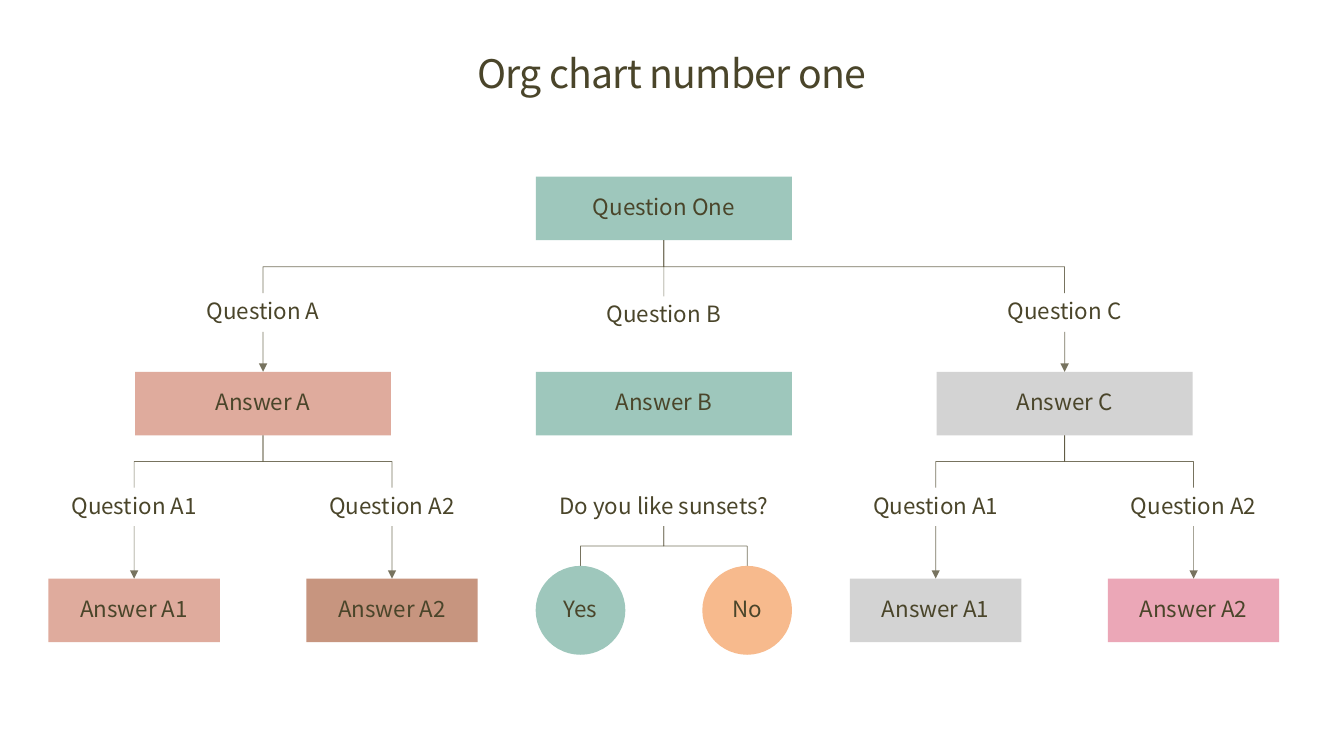
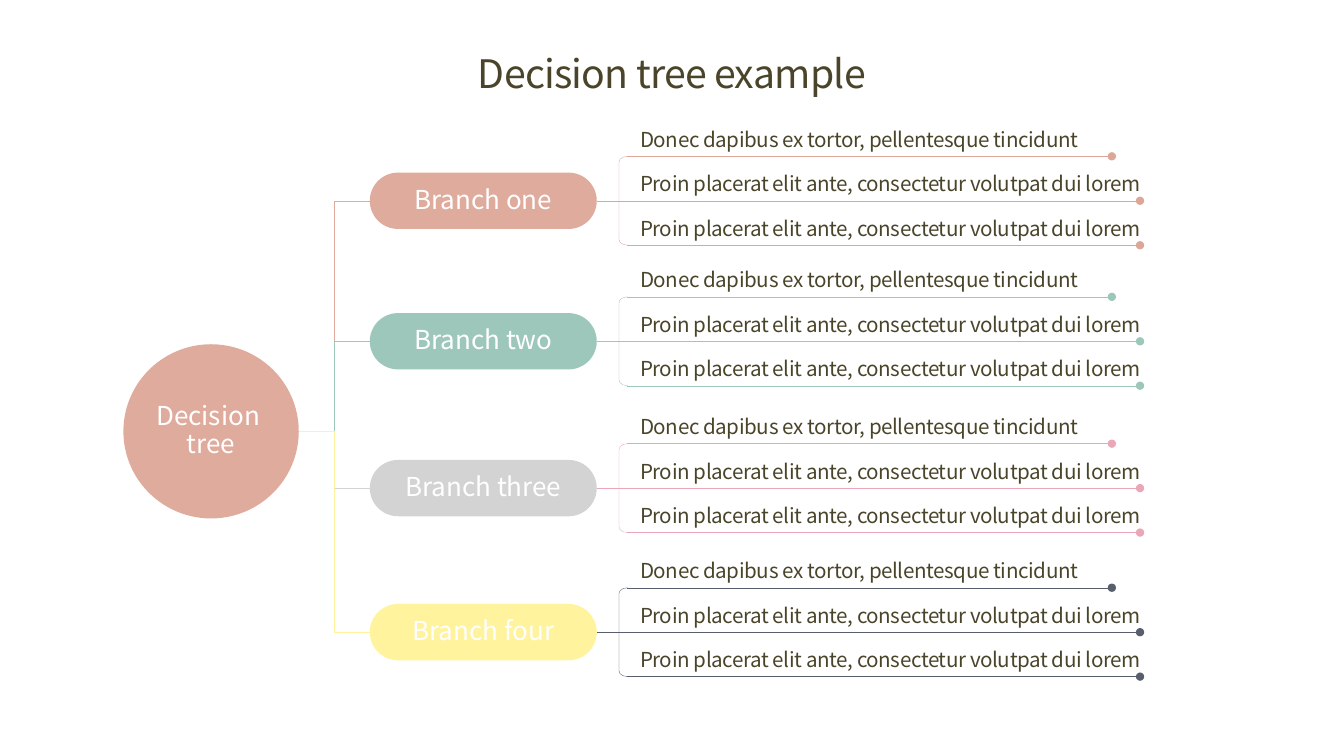
from dataclasses import dataclass

from lxml import etree
from pptx import Presentation
from pptx.dml.color import RGBColor
from pptx.enum.shapes import MSO_CONNECTOR as CXN, MSO_SHAPE as SHAPE
from pptx.enum.text import MSO_ANCHOR as ANCHOR, PP_ALIGN as ALIGN
from pptx.oxml.ns import qn
from pptx.util import Cm, Pt


@dataclass(frozen=True)
class Theme:
    font: str = "Noto Sans CJK SC"
    ink: str = "4A452A"
    white: str = "FFFFFF"
    coral: str = "DFAB9D"
    coral_line: str = "DCA698"
    brown: str = "C7957F"
    teal: str = "9EC7BC"
    grey: str = "D3D3D3"
    orange: str = "F7BA8D"
    pink: str = "EBA7B7"
    yellow: str = "FFF39D"
    slate: str = "575F6D"
    title_pt: float = 28
    org_pt: float = 16
    branch_pt: float = 18.6
    detail_pt: float = 14.7


T = Theme()

# Content: org chart
ORG_TITLE = "Org chart number one"
ROOT = ("Question One", T.teal)
SIDES = [  # direction from the centre, question, answer, fill, leaves
    (-1, "Question A", "Answer A", T.coral,
     [("Question A1", "Answer A1", T.coral), ("Question A2", "Answer A2", T.brown)]),
    (1, "Question C", "Answer C", T.grey,
     [("Question A1", "Answer A1", T.grey), ("Question A2", "Answer A2", T.pink)]),
]
MIDDLE = ("Question B", "Answer B", T.teal)
CHOICE = ("Do you like sunsets?", [("Yes", T.teal), ("No", T.orange)])

# Content: decision tree
TREE_TITLE = "Decision tree example"
TREE_ROOT = "Decision \vtree"
BRANCHES = [  # name, fill, detail line colour, centre height in cm
    ("Branch one", T.coral, T.coral_line, 5.06),
    ("Branch two", T.teal, T.teal, 8.6),
    ("Branch three", T.grey, T.pink, 12.3),
    ("Branch four", T.yellow, T.slate, 15.93),
]
LONG_DETAIL = "Proin placerat elit ante, consectetur volutpat dui lorem"
DETAILS = [  # text, right end of its line in cm
    ("Donec dapibus ex tortor, pellentesque tincidunt", 28.02),
    (LONG_DETAIL, 28.73),
    (LONG_DETAIL, 28.73),
]


def rgb(value):
    return RGBColor.from_string(value)


def put_text(sp, text, size, color=T.ink, align=ALIGN.CENTER, anchor=ANCHOR.MIDDLE,
             spacing=0.9, track=0, inset=(0, 0, 0, 0), wrap=True):
    """Write one formatted paragraph into a shape; insets are in cm."""
    tf = sp.text_frame
    tf.word_wrap, tf.vertical_anchor = wrap, anchor
    tf.margin_left, tf.margin_top, tf.margin_right, tf.margin_bottom = map(Cm, inset)
    p = tf.paragraphs[0]
    p.text, p.alignment, p.line_spacing = text, align, spacing
    for r in p.runs:
        r.font.name, r.font.size = T.font, Pt(size)
        r.font.color.rgb = rgb(color)
        if track:
            r.font._element.set("spc", str(round(track * 100)))


def add_slide(prs, title):
    s = prs.slides.add_slide(prs.slide_layouts[5])
    sp = s.shapes.title
    sp.left, sp.top, sp.width, sp.height = Cm(2.54), Cm(0.79), Cm(28.78), Cm(2.26)
    put_text(sp, title, T.title_pt, spacing=0.86, track=-0.5)
    return s


def add_node(s, kind, cx, cy, w, h, fill, text, size, **fmt):
    """Filled shape centred on cx, cy."""
    sp = s.shapes.add_shape(kind, Cm(cx - w / 2), Cm(cy - h / 2), Cm(w), Cm(h))
    sp.shadow.inherit = False
    sp.fill.solid()
    sp.fill.fore_color.rgb = rgb(fill)
    sp.line.fill.background()
    put_text(sp, text, size, **fmt)
    return sp


def add_label(s, x, y, w, h, text, size, **fmt):
    sp = s.shapes.add_textbox(Cm(x), Cm(y), Cm(w), Cm(h))
    put_text(sp, text, size, **fmt)


def add_line(s, start, end, color, width, kind=CXN.STRAIGHT, tail=None, alpha=None):
    c = s.shapes.add_connector(kind, *map(Cm, (*start, *end)))
    c.line.color.rgb, c.line.width = rgb(color), Pt(width)
    if alpha:
        clr = c.line._ln.find(".//" + qn("a:srgbClr"))
        etree.SubElement(clr, qn("a:alpha"), val=str(alpha * 1000))
    if tail:
        etree.SubElement(c.line._ln, qn("a:tailEnd"), type=tail)
    etree.SubElement(c._element.spPr, qn("a:effectLst"))
    return c


def org_line(s, start, end, **fmt):
    return add_line(s, start, end, T.ink, 0.5, alpha=75, **fmt)


def drop_elbow(s, start, end):
    """Elbow that leaves downwards, runs sideways and ends downwards."""
    (x1, y1), (x2, y2) = start, end
    c = org_line(s, start, end, kind=CXN.ELBOW)
    w, h = y2 - y1, abs(x2 - x1)  # size before the quarter turn
    c.left, c.top = Cm((x1 + x2 - w) / 2), Cm((y1 + y2 - h) / 2)
    c.width, c.height = Cm(w), Cm(h)
    xfrm = c._element.spPr.find(qn("a:xfrm"))
    xfrm.attrib.clear()
    if x2 < x1:
        xfrm.set("rot", "5400000")
    else:
        xfrm.set("rot", "16200000")
        xfrm.set("flipH", "1")


def build_org_chart(prs):
    s = add_slide(prs, ORG_TITLE)
    mid, side_step, leaf_step, choice_step = 16.73, 10.1, 3.25, 2.1
    box_w, leaf_w, box_h = 6.45, 4.32, 1.6
    label_h, label_w = 0.97, 5.13
    root_y, answer_y, leaf_y = 5.25, 10.17, 15.38  # centres of the box rows
    question_y, leaf_question_y = 7.39, 12.29  # tops of the label rows
    circle_w, circle_h = 2.26, 2.24

    def box(cx, cy, w, text, fill):
        add_node(s, SHAPE.RECTANGLE, cx, cy, w, box_h, fill, text, T.org_pt)

    def question(cx, top, text, w=label_w):
        add_label(s, cx - w / 2, top, w, label_h, text, T.org_pt, inset=(0.18,) * 4)

    def question_and_answer(cx, top, cy, w, ask, answer, fill):
        question(cx, top, ask)
        box(cx, cy, w, answer, fill)
        org_line(s, (cx, top + label_h), (cx, cy - box_h / 2), tail="triangle")

    # Root and middle column
    root_end = (mid, root_y + box_h / 2)
    box(mid, root_y, box_w, *ROOT)
    middle_top = question_y + 0.08
    org_line(s, root_end, (mid, middle_top))
    question(mid, middle_top, MIDDLE[0])
    box(mid, answer_y, box_w, *MIDDLE[1:])

    # Side columns with their leaves
    for sign, ask, answer, fill, leaves in SIDES:
        cx = mid + sign * side_step
        drop_elbow(s, root_end, (cx, question_y))
        question_and_answer(cx, question_y, answer_y, box_w, ask, answer, fill)
        for leaf_sign, leaf in zip((-1, 1), leaves):
            leaf_x = cx + leaf_sign * leaf_step
            drop_elbow(s, (cx, answer_y + box_h / 2), (leaf_x, leaf_question_y))
            question_and_answer(leaf_x, leaf_question_y, leaf_y, leaf_w, *leaf)

    # Yes or no
    ask, options = CHOICE
    question(mid, leaf_question_y, ask, w=box_w)
    for sign, (text, fill) in zip((-1, 1), options):
        cx = mid + sign * choice_step
        drop_elbow(s, (mid, leaf_question_y + label_h), (cx, leaf_y - circle_h / 2))
        add_node(s, SHAPE.OVAL, cx, leaf_y, circle_w, circle_h, fill, text,
                 T.org_pt, wrap=False)


def build_decision_tree(prs):
    s = add_slide(prs, TREE_TITLE)
    root_x, root_y, root_w, root_h = 5.32, 10.87, 4.42, 4.39
    pill_x, pill_w, pill_h = 9.32, 5.72, 1.42
    bracket_x, bracket_w = 15.6, 0.22
    detail_x, detail_w, detail_h, row_step = 15.8, 14.22, 0.86, 1.12
    hair = 0.25

    # Root and branches
    add_node(s, SHAPE.OVAL, root_x, root_y, root_w, root_h, T.coral, TREE_ROOT,
             T.branch_pt, color=T.white)
    for name, fill, line, cy in BRANCHES:
        pill = add_node(s, SHAPE.ROUNDED_RECTANGLE, pill_x + pill_w / 2, cy, pill_w,
                        pill_h, fill, name, T.branch_pt, color=T.white)
        pill.adjustments[0] = 0.5
        add_line(s, (root_x + root_w / 2, root_y), (pill_x, cy), fill, hair,
                 kind=CXN.ELBOW)

        # Bracket and detail rows
        sp = s.shapes.add_shape(SHAPE.LEFT_BRACKET, Cm(bracket_x), Cm(cy - row_step),
                                Cm(bracket_w), Cm(2 * row_step))
        sp.adjustments[0] = 0.65
        sp.shadow.inherit = False
        sp.fill.background()
        sp.line.color.rgb, sp.line.width = rgb(line), Pt(hair)
        for i, (text, end_x) in enumerate(DETAILS):
            y = cy + (i - 1) * row_step
            start_x = pill_x + pill_w if i == 1 else detail_x
            add_line(s, (start_x, y), (end_x, y), line, hair, tail="oval")
            add_label(s, detail_x, y - 0.8, detail_w, detail_h, text, T.detail_pt,
                      align=ALIGN.LEFT, anchor=ANCHOR.TOP, spacing=0.89, track=-0.3,
                      inset=(0.33, 0.13, 0.33, 0.18))


def main():
    prs = Presentation()
    prs.slide_width, prs.slide_height = Cm(33.87), Cm(19.05)
    build_org_chart(prs)
    build_decision_tree(prs)
    prs.save("out.pptx")


if __name__ == "__main__":
    main()
